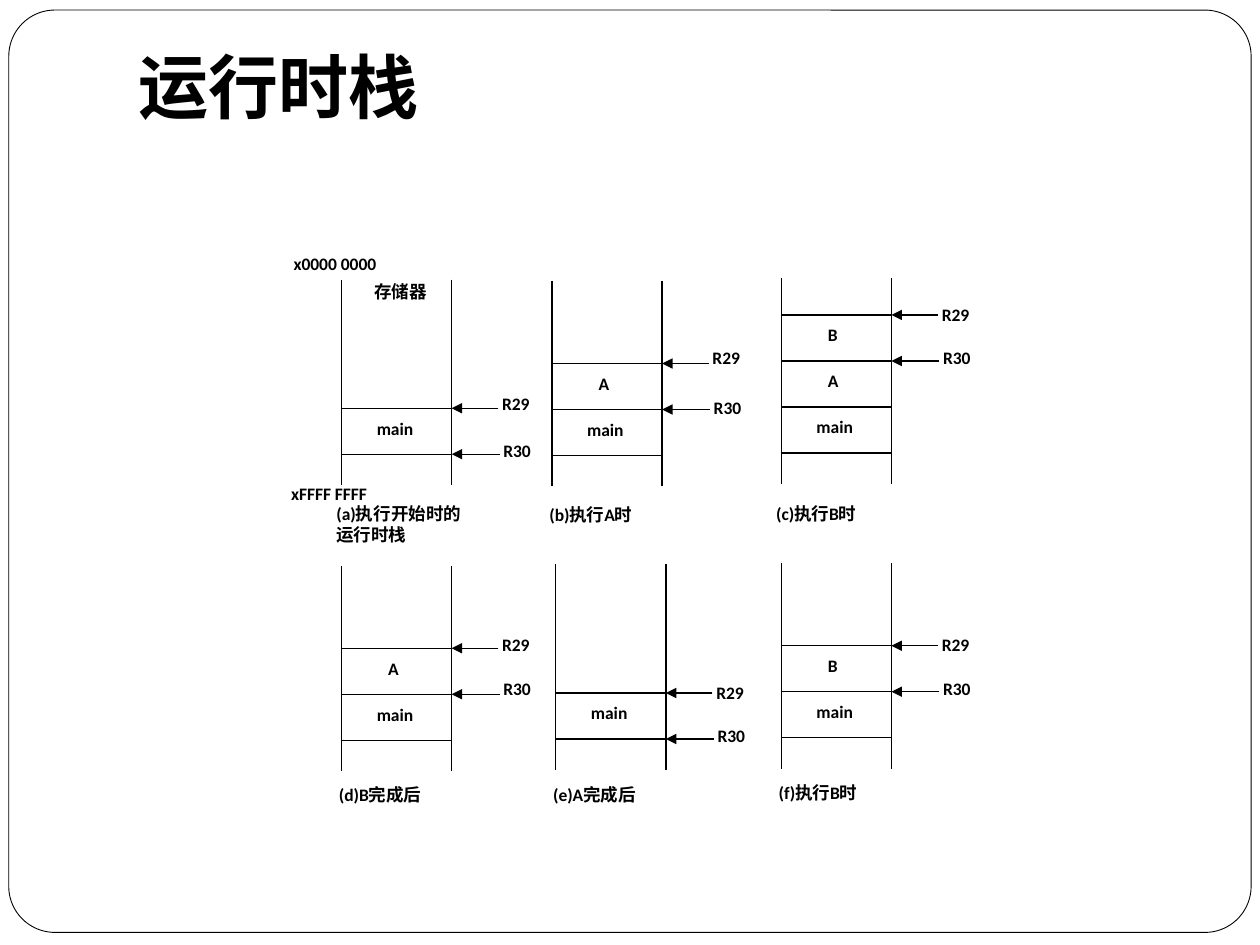
"""Builds a slide of six runtime stack diagrams, from program start to the second call of B."""
from lxml.etree import SubElement
from pptx import Presentation
from pptx.dml.color import RGBColor
from pptx.enum.shapes import MSO_CONNECTOR, MSO_SHAPE
from pptx.enum.text import MSO_ANCHOR, PP_ALIGN
from pptx.oxml.ns import qn
from pptx.util import Inches, Pt

COLORS = {"ink": "000000", "paper": "FFFFFF"}
INK = RGBColor.from_string(COLORS["ink"])
CJK_FONT = "Noto Sans CJK SC"

deck = Presentation()
deck.slide_width, deck.slide_height = Inches(10), Inches(7.5)
page = deck.slides.add_slide(deck.slide_layouts[6])
COLUMN, ROW = deck.slide_width / 100, deck.slide_height / 75


def add_text(text, left, top, width, height, size=10, font="Calibri", inset=(0.2, 0.1), align=PP_ALIGN.JUSTIFY):
    box = page.shapes.add_textbox(int(left * COLUMN), int(top * ROW), int(width * COLUMN), int(height * ROW))
    frame = box.text_frame
    frame.word_wrap = True
    frame.vertical_anchor = MSO_ANCHOR.TOP
    frame.margin_left = frame.margin_right = int(inset[0] * COLUMN)
    frame.margin_top = frame.margin_bottom = int(inset[1] * ROW)
    para = frame.paragraphs[0]
    para.text = text
    para.alignment = align
    para.font.size, para.font.bold, para.font.name = Pt(size), True, font
    para.font.color.rgb = INK
    defaults = para._p.pPr.find(qn("a:defRPr"))
    SubElement(defaults, qn("a:ea"), typeface=CJK_FONT)


def add_line(x1, y1, x2, y2, arrow=False):
    line = page.shapes.add_connector(
        MSO_CONNECTOR.STRAIGHT, int(x1 * COLUMN), int(y1 * ROW), int(x2 * COLUMN), int(y2 * ROW))
    line.line.width = Pt(0.75)
    line.line.color.rgb = INK
    if arrow:
        SubElement(line.line._get_or_add_ln(), qn("a:tailEnd"), type="triangle")
    SubElement(line._element.spPr, qn("a:effectLst"))


border = page.shapes.add_shape(
    MSO_SHAPE.ROUNDED_RECTANGLE, int(0.7 * COLUMN), int(0.8 * ROW), int(98.6 * COLUMN), int(73.2 * ROW))
border.adjustments[0] = 0.05
border.shadow.inherit = False
border.fill.solid()
border.fill.fore_color.rgb = RGBColor.from_string(COLORS["paper"])
border.line.color.rgb = INK
border.line.width = Pt(0.5)

add_text("运行时栈", 10, 3, 85, 12.5, 40, CJK_FONT, (1, 0.5), PP_ALIGN.LEFT)

STACK_WIDTH, STACK_HEIGHT = 8.75, 16.3
FRAME_HEIGHT, MAIN_TOP = 3.65, 10.2
panels = [
    (27.1, 22.2, ["main"], "(a)执行开始时的运行时栈", 26.5, 39.8, 4.9, (1.3, 1.2)),
    (43.8, 22.3, ["main", "A"], "(b)执行A时", 43.4, 39.9, 2.7, (1.4, 1.1)),
    (62, 22.1, ["main", "A", "B"], "(c)执行B时", 61.4, 39.8, 2.7, (1, 1.2)),
    (27.1, 44.9, ["main", "A"], "(d)B完成后", 26.7, 62.1, 2.7, (1.2, 1.4)),
    (44.1, 44.8, ["main"], "(e)A完成后", 43.7, 62.1, 2.7, (1, 1.2)),
    (62, 44.7, ["main", "B"], "(f)执行B时", 61.6, 62, 2.7, (1, 1.2)),
]

for left, top, calls, caption, caption_left, caption_top, caption_height, label_rises in panels:
    right = left + STACK_WIDTH
    for side in (left, right):
        add_line(side, top, side, top + STACK_HEIGHT)
    for depth, call in enumerate(calls):
        frame_top = top + MAIN_TOP - depth * FRAME_HEIGHT
        cell = page.shapes.add_shape(
            MSO_SHAPE.RECTANGLE, int(left * COLUMN), int(frame_top * ROW),
            int(STACK_WIDTH * COLUMN), int(FRAME_HEIGHT * ROW))
        cell.shadow.inherit = False
        cell.fill.background()
        cell.line.color.rgb = INK
        cell.line.width = Pt(0.75)
        add_text(call, left + (2.6 if call == "main" else 3.5), frame_top + 0.65, 3.5, 2.4)
    for index, (register, rise) in enumerate(zip(("R29", "R30"), label_rises)):
        pointer = frame_top + index * FRAME_HEIGHT
        add_line(right + 3.7 + index / 10, pointer, right, pointer, arrow=True)
        add_text(register, right + 3.8 + index / 10, pointer - rise, 3.6, 2.4)
    add_text(caption, caption_left, caption_top, 10.3, caption_height)

add_text("x0000 0000", 23.1, 20, 7.7, 2.1)
add_text("存储器", 29.5, 22.2, 6.4, 3.4)
add_text("xFFFF FFFF", 22.9, 38.2, 6.9, 2.1)

deck.save("out.pptx")
